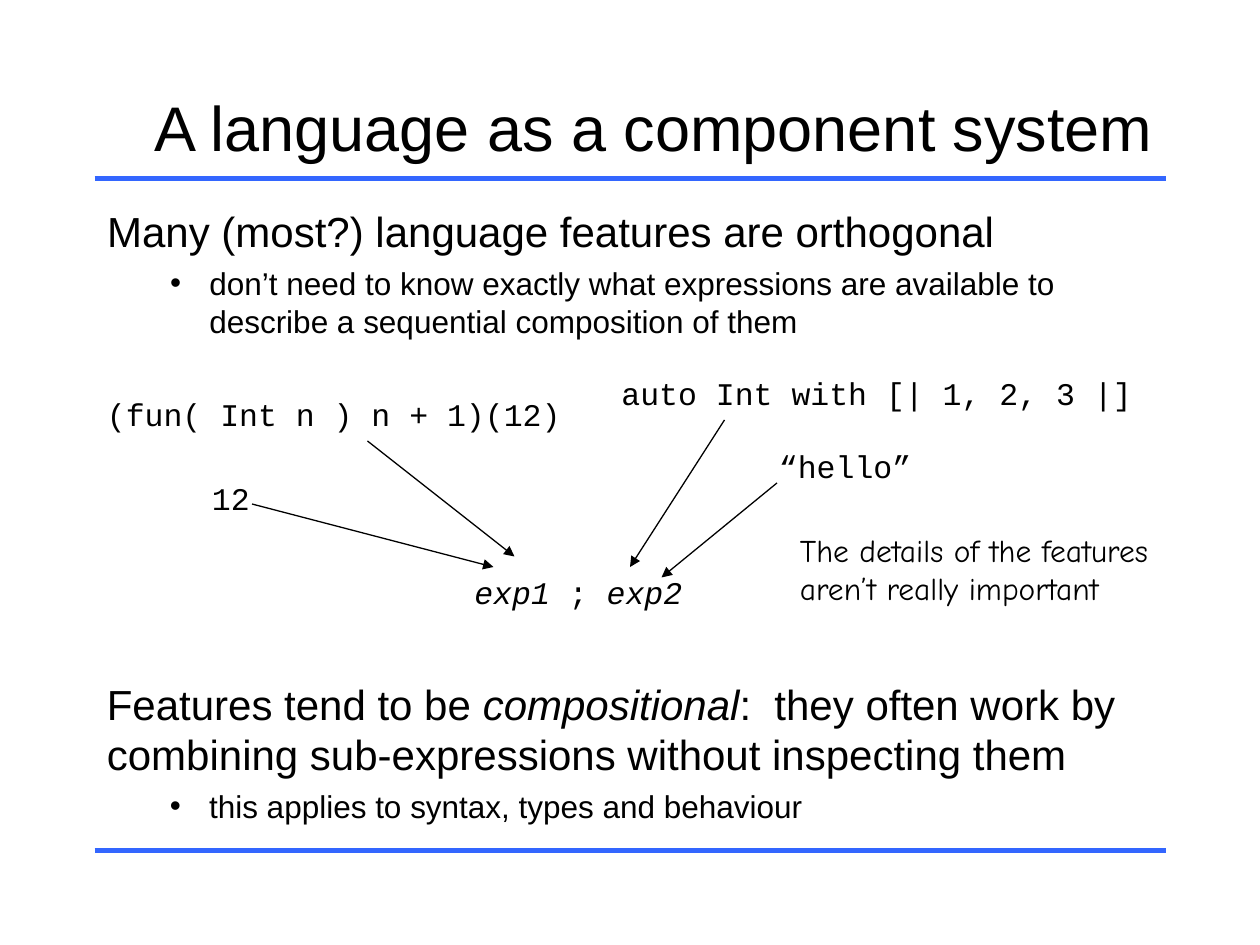
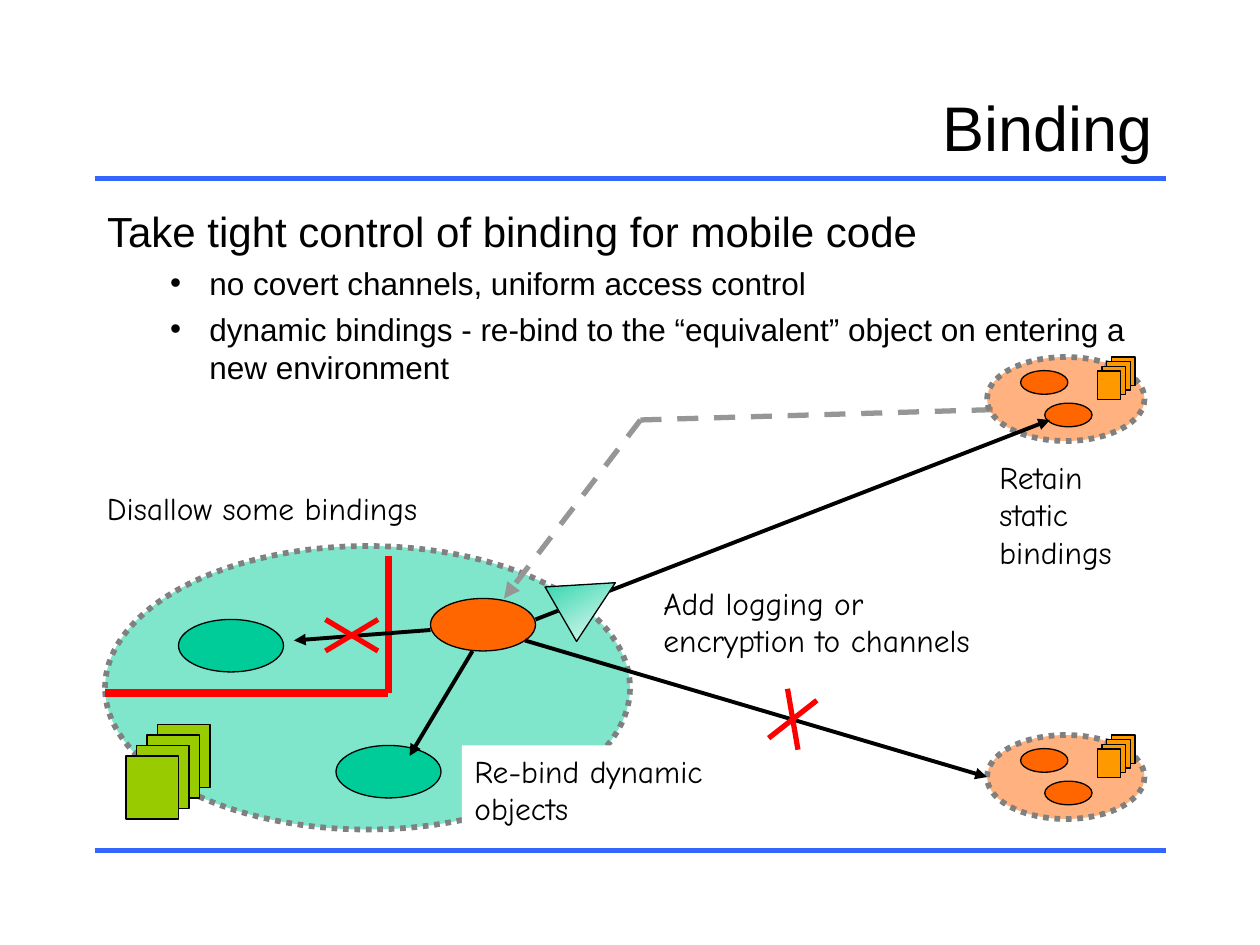
from lxml import etree
from pptx import Presentation
from pptx import util as u
from pptx.dml.color import RGBColor
from pptx.enum import dml, shapes as es, text as et
from pptx.oxml.ns import qn

BLACK = RGBColor(0x00, 0x00, 0x00)
WHITE = RGBColor(0xFF, 0xFF, 0xFF)
RULE_BLUE = RGBColor(0x33, 0x66, 0xFF)
GREEN = RGBColor(0x00, 0xCC, 0x99)
LIME = RGBColor(0x99, 0xCC, 0x00)
ORANGE = RGBColor(0xFF, 0x66, 0x00)
AMBER = RGBColor(0xFF, 0x99, 0x00)
RED = RGBColor(0xFF, 0x00, 0x00)
BORDER_GREY = RGBColor(0x80, 0x80, 0x80)
DASH_GREY = RGBColor(0x96, 0x96, 0x96)

SANS, CODE, NOTE = "Arial", "Courier New", "Comic Neue"
OVAL, RECT = es.MSO_SHAPE.OVAL, es.MSO_SHAPE.RECTANGLE
DASH, DOTS = dml.MSO_LINE.DASH, dml.MSO_LINE.ROUND_DOT

# Places are counted in steps of a grid with twelve steps to the inch.
GRID_CM = 2.54 / 12
ONE_LINE, TWO_LINES = 4.8, 8.4
RULES = [17, 81]
TITLE_BOX = (9, 8, 102, 8)
LEVELS = [
    {"size": 24, "before": 6, "margin": 0, "hang": 0},
    {"size": 18, "before": 4.5, "margin": 2.06, "hang": -0.79},
]

# Words between asterisks are italic.
LANGUAGE = {
    "title": "A language as a component system",
    "body_box": (9, 19, 102, 14),
    "body": [
        (0, "Many (most?) language features are orthogonal"),
        (1, "don’t need to know exactly what expressions are available to "
            "describe a sequential composition of them"),
    ],
    "closing_box": (9, 64, 102, 16),
    "closing": [
        (0, "Features tend to be *compositional*:  they often work by "
            "combining sub-expressions without inspecting them"),
        (1, "this applies to syntax, types and behaviour"),
    ],
    "labels": [
        ("(fun( Int n ) n + 1)(12)", (9, 37, 47, ONE_LINE), CODE),
        ("*exp1* ; *exp2*", (44, 54, 23, ONE_LINE), CODE),
        ("12", (19, 45, 9, ONE_LINE), CODE),
        ("“hello”", (73, 42, 15, ONE_LINE), CODE),
        ("auto Int with [| 1, 2, 3 |]", (58, 35, 52, ONE_LINE), CODE),
        ("The details of the features aren’t really important",
         (75, 50, 36, TWO_LINES), NOTE),
    ],
    "arrows": [(24, 48, 47, 54), (35, 42, 49, 53), (69, 40, 60, 54), (74, 46, 63, 55)],
}

BINDING = {
    "title": "Binding",
    "body_box": (9, 19, 102, 20),
    "body": [
        (0, "Take tight control of binding for mobile code"),
        (1, "no covert channels, uniform access control"),
        (1, "dynamic bindings - re-bind to the “equivalent” object on "
            "entering a new environment"),
    ],
    "environment": (10, 52, 50, 27),
    "local_objects": [(17, 59), (32, 71)],
    "page_stack": (15, 69),
    "mobile_code": (41, 57),
    "hosts": [(94, 34), (94, 70)],
    "moves": [((61, 40, 48, 57), True), ((61, 40, 95, 39), False)],
    "walls": [(10, 66, 37, 66), (37, 53, 37, 66)],
    "bindings": [(45, 62, 39, 72), (41, 60, 28, 61), (51, 59, 100, 40), (50, 61, 94, 74)],
    "crosses": [
        [(76, 71.4, 75, 65.6), (73.2, 70.3, 77.8, 66.7)],
        [(31, 62, 36, 59), (31, 59, 36, 62)],
    ],
    "filter": (53, 54, 6, 6),
    "labels": [
        ("Retain static bindings", (94, 43, 15, 12), NOTE),
        ("Add logging or encryption to channels", (62, 55, 35, TWO_LINES), NOTE),
        ("Disallow some bindings", (9, 46, 37, ONE_LINE), NOTE),
    ],
    "rebind_label": ("Re-bind dynamic objects", (44, 71, 28, TWO_LINES), NOTE),
}


def grid(*steps):
    return [u.Cm(n * GRID_CM) for n in steps]


def set_all(obj, values):
    for name, value in values.items():
        setattr(obj, name, value)


def add_runs(p, words, size, font):
    for i, part in enumerate(words.split("*")):
        if part:
            r = p.add_run()
            r.text = part
            set_all(r.font, {"size": u.Pt(size), "name": font, "italic": i % 2 == 1})
            r.font.color.rgb = BLACK


def frame(sp, **values):
    tf = sp.text_frame
    set_all(tf, {"word_wrap": True, "auto_size": et.MSO_AUTO_SIZE.NONE,
                 "vertical_anchor": et.MSO_ANCHOR.TOP, **values})
    return tf


def place(sp, box):
    set_all(sp, dict(zip(("left", "top", "width", "height"), grid(*box))))


def fill_list(sp, items):
    tf = frame(sp)
    for i, (level, words) in enumerate(items):
        p = tf.paragraphs[0] if i == 0 else tf.add_paragraph()
        style = LEVELS[level]
        set_all(p, {"level": level, "space_before": u.Pt(style["before"] if i else 0)})
        pPr = p._p.get_or_add_pPr()
        pPr.set("marL", str(u.Cm(style["margin"])))
        pPr.set("indent", str(u.Cm(style["hang"])))
        if level:
            etree.SubElement(pPr, qn("a:buFont")).set("typeface", SANS)
            etree.SubElement(pPr, qn("a:buChar")).set("char", "•")
        else:
            etree.SubElement(pPr, qn("a:buNone"))
        add_runs(p, words, style["size"], SANS)


def add_label(s, words, box, font, fill=None):
    sp = s.shapes.add_textbox(*grid(*box))
    if fill is not None:
        sp.fill.solid()
        sp.fill.fore_color.rgb = fill
    tf = frame(sp, auto_size=et.MSO_AUTO_SIZE.SHAPE_TO_FIT_TEXT)
    add_runs(tf.paragraphs[0], words, 18, font)


def add_line(shapes, ends, color, width, arrow=False, dash=None):
    cxn = shapes.add_connector(es.MSO_CONNECTOR.STRAIGHT, *grid(*ends))
    set_all(cxn.line, {"width": u.Pt(width), "dash_style": dash})
    cxn.line.color.rgb = color
    if arrow:
        etree.SubElement(cxn.line._get_or_add_ln(), qn("a:tailEnd")).set("type", "triangle")
    etree.SubElement(cxn.element.spPr, qn("a:effectLst"))
    return cxn


def add_figure(shapes, kind, box, fill, line=BLACK, width=0.75, dash=None, alpha=None):
    sp = shapes.add_shape(kind, *grid(*box))
    sp.shadow.inherit = False
    sp.fill.solid()
    sp.fill.fore_color.rgb = fill
    if alpha:
        clr = sp.element.spPr.find(".//" + qn("a:srgbClr"))
        etree.SubElement(clr, qn("a:alpha")).set("val", str(alpha * 1000))
    set_all(sp.line, {"width": u.Pt(width), "dash_style": dash})
    sp.line.color.rgb = line
    return sp


def add_zone(shapes, box, fill):
    """Draw a half-transparent ellipse with a dotted border."""
    add_figure(shapes, OVAL, box, fill, BORDER_GREY, 3.25, DOTS, 50)


def add_pages(shapes, x, y, fill, scale=1.0):
    """Draw four overlapping pages, from the back one at (x, y) to the front."""
    for i in range(4):
        box = (x - i * scale, y + i * scale, 5 * scale, 6 * scale)
        add_figure(shapes, RECT, box, fill)


def add_host(s, x, y):
    shapes = s.shapes.add_group_shape().shapes
    add_zone(shapes, (x, y, 15, 8), ORANGE)
    add_pages(shapes, x + 11.85, y, AMBER, 0.45)
    for dx, dy in [(5.5, 4.4), (3.2, 1.3)]:
        add_figure(shapes, OVAL, (x + dx, y + dy, 4.5, 2.25), ORANGE)


def add_filter(s, box):
    sp = add_figure(s.shapes, es.MSO_SHAPE.ISOSCELES_TRIANGLE, box, GREEN)
    sp.rotation = 60
    sp.fill.gradient()
    sp.fill.gradient_angle = 180
    for stop, color in zip(sp.fill.gradient_stops, (WHITE, GREEN)):
        stop.color.rgb = color


def add_slide(prs, content):
    s = prs.slides.add_slide(prs.slide_layouts[1])
    title, body = s.placeholders
    place(title, TITLE_BOX)
    p = frame(title, vertical_anchor=et.MSO_ANCHOR.MIDDLE).paragraphs[0]
    p.alignment = et.PP_ALIGN.RIGHT
    add_runs(p, content["title"], 36, SANS)
    place(body, content["body_box"])
    fill_list(body, content["body"])
    return s


def move_rules_to_layout(s):
    """Draw the two blue rules and hand them to the layout all slides share."""
    for i, y in enumerate(RULES):
        rule = add_line(s.shapes, (9, y, 111, y), RULE_BLUE, 3)
        rule.element.nvCxnSpPr.cNvPr.id = 100 + i
        s.slide_layout.shapes.element.append(rule.element)


def build_language(prs):
    c = LANGUAGE
    s = add_slide(prs, c)
    move_rules_to_layout(s)
    fill_list(s.shapes.add_textbox(*grid(*c["closing_box"])), c["closing"])
    for label in c["labels"]:
        add_label(s, *label)
    for ends in c["arrows"]:
        add_line(s.shapes, ends, BLACK, 0.75, arrow=True)


def build_binding(prs):
    c = BINDING
    s = add_slide(prs, c)
    add_zone(s.shapes, c["environment"], GREEN)
    for corner in c["local_objects"]:
        add_figure(s.shapes, OVAL, (*corner, 10, 5), GREEN)
    add_pages(s.shapes.add_group_shape().shapes, *c["page_stack"], LIME)
    add_figure(s.shapes, OVAL, (*c["mobile_code"], 10, 5), ORANGE)
    for ends, arrow in c["moves"]:
        add_line(s.shapes, ends, DASH_GREY, 3, arrow, DASH)
    for corner in c["hosts"]:
        add_host(s, *corner)
    for ends in c["walls"]:
        add_line(s.shapes, ends, RED, 4.5)
    for ends in c["bindings"]:
        add_line(s.shapes, ends, BLACK, 2.25, arrow=True)
    for cross in c["crosses"]:
        shapes = s.shapes.add_group_shape().shapes
        for ends in cross:
            add_line(shapes, ends, RED, 3)
    add_filter(s, c["filter"])
    for label in c["labels"]:
        add_label(s, *label)
    add_label(s, *c["rebind_label"], fill=WHITE)


def main():
    prs = Presentation()
    set_all(prs, {"slide_width": u.Cm(25.4), "slide_height": u.Cm(19.05)})
    build_language(prs)
    build_binding(prs)
    prs.save("out.pptx")


if __name__ == "__main__":
    main()
